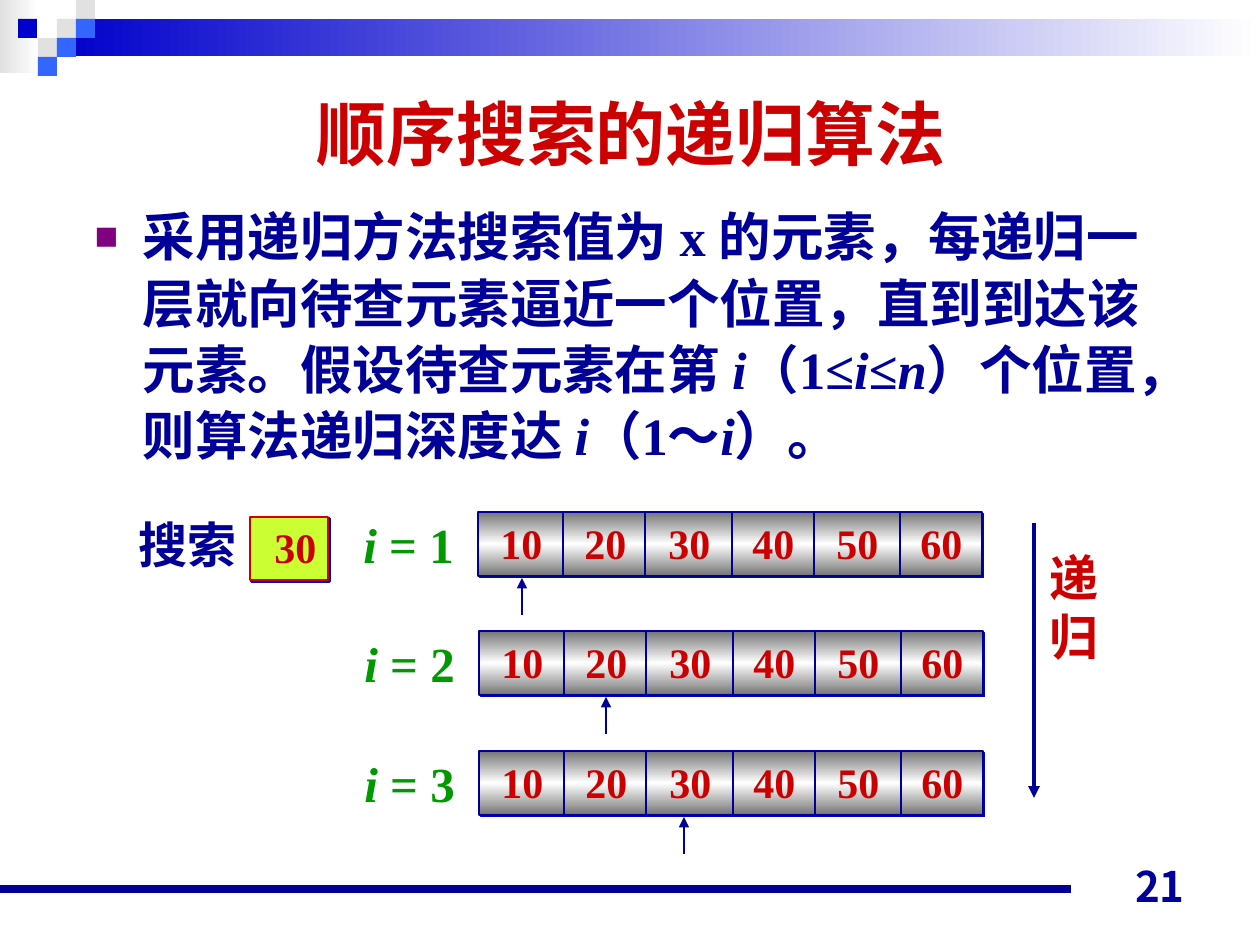
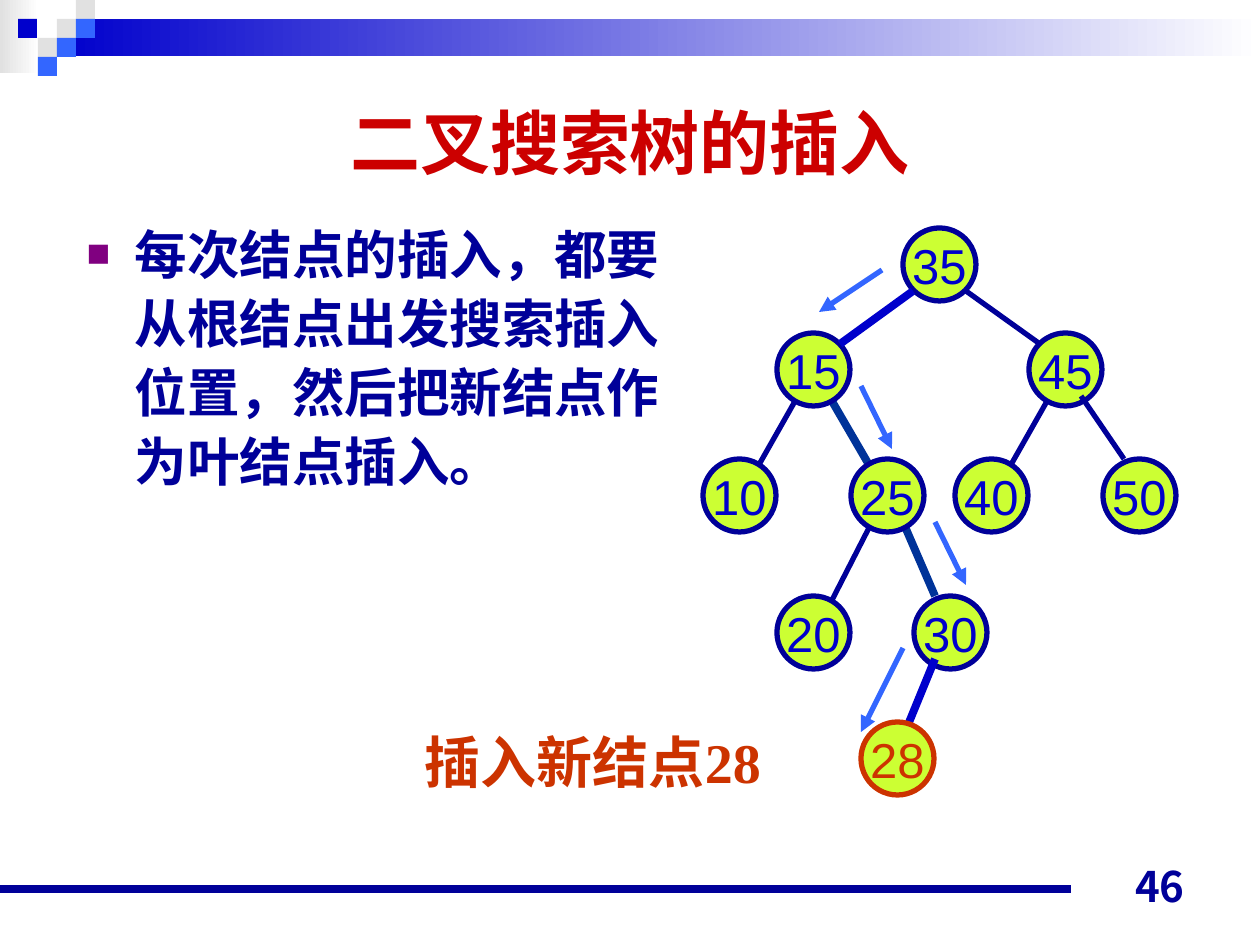
from lxml import etree
from pptx import Presentation, util as u
from pptx.dml.color import RGBColor
from pptx.enum import shapes, text
from pptx.oxml.ns import qn

PX = 914400 / 126
SERIF, SANS, CJK = "Times New Roman", "Arial", "Noto Sans CJK JP"
C = dict(navy="000099", blue="0000CC", sky="3366FF", teal="003399", grey="E1E1E1", steel="757575",
         white="FFFFFF", red="CC0000", rust="CC3300", green="009900", lime="CCFF33", purple="800080")
MIDDLE, BOTTOM = text.MSO_ANCHOR.MIDDLE, text.MSO_ANCHOR.BOTTOM
CENTER, RIGHT = text.PP_ALIGN.CENTER, text.PP_ALIGN.RIGHT
RECT, OVAL = shapes.MSO_SHAPE.RECTANGLE, shapes.MSO_SHAPE.OVAL

FADES = [((0, 0, 39, 73), ("white", "grey")), ((57, 19, 1203, 37), ("white", "blue"))]
SQUARES = [(57, 19, "grey"), (76, 0, "grey"), (76, 19, "sky"), (38, 38, "grey"),
           (18, 19, "blue"), (57, 38, "sky"), (38, 57, "sky")]

SEARCH = dict(
    title="顺序搜索的递归算法", title_at=(64, 60, 1134, 144), page="21",
    body=["采用递归方法搜索值为 x 的元素，每递归一层就向待查元素逼近一个位置，直到到达该元素。假设待查元素在第 ",
          "i", "（1≤", "i", "≤", "n", "）个位置，则算法递归深度达 ", "i", "（1～", "i", "）。"],
    body_at=(82, 195, 1104, 292), spacing=1.05, before=5.6)
VALUES = ["10", "20", "30", "40", "50", "60"]
DIVIDERS = [85, 167, 254, 336, 422]
STEPS = [("1", 478, 512, 522), ("2", 479, 631, 606), ("3", 479, 751, 684)]

INSERT = dict(
    title="二叉搜索树的插入", title_at=(63, 63, 1134, 156), page="46",
    body=["每次结点的插入，都要从根结点出发搜索插入位置，然后把新结点作为叶结点插入。"],
    body_at=(74, 209, 620, 536), spacing=1.1, before=7.5)
NODES = [("35", 903, 228), ("15", 777, 333), ("45", 1029, 333), ("50", 1103, 459), ("40", 955, 459),
         ("25", 851, 459), ("10", 703, 459), ("20", 777, 596), ("30", 914, 596)]
EDGES_BELOW = [((1050, 396, 1008, 470), "navy", 3), ((903, 522, 935, 596), "teal", 4.5),
               ((872, 522, 829, 606), "navy", 3), ((798, 396, 756, 470), "navy", 3),
               ((829, 396, 872, 470), "teal", 4.5)]
EDGES_ABOVE = [((913, 291, 840, 344), "blue", 4.5), ((966, 291, 1040, 344), "navy", 3),
               ((1081, 396, 1124, 459), "navy", 3), ((935, 659, 892, 764), "blue", 4.5)]
PATH_ARROWS = [(882, 270, 819, 312), (903, 648, 861, 732), (861, 386, 892, 449), (935, 522, 966, 585)]


def px(*lengths):
    return [u.Emu(round(n * PX)) for n in lengths]


def rgb(name):
    return RGBColor.from_string(C[name])


def sub(parent, tag, **attrs):
    return etree.SubElement(parent, qn("a:" + tag), {k: str(v) for k, v in attrs.items()})


def color_node(parent, name):
    return sub(parent, "srgbClr", val=C[name])


def gradient(sp, names, angle):
    grad = etree.Element(qn("a:gradFill"), rotWithShape="1")
    stops = sub(grad, "gsLst")
    for i, name in enumerate(names):
        color_node(sub(stops, "gs", pos=100000 * i // (len(names) - 1)), name)
    sub(grad, "lin", ang=angle * 60000, scaled=0)
    sp.element.spPr.insert(2, grad)


def box(s, at, fill, line=None, width=0.75, kind=RECT, angle=180, shadow=False):
    sp = s.shapes.add_shape(kind, *px(*at))
    sp.shadow.inherit = False
    if isinstance(fill, tuple):
        gradient(sp, fill, angle)
    else:
        sp.fill.solid()
        sp.fill.fore_color.rgb = rgb(fill)
    if line:
        sp.line.color.rgb = rgb(line)
        sp.line.width = u.Pt(width)
    else:
        sp.line.fill.background()
    if shadow:
        effects = sp.element.spPr.find(qn("a:effectLst"))
        color_node(sub(effects, "outerShdw", blurRad=0, dist=u.Pt(1.4), dir=45 * 60000,
                       algn="ctr", rotWithShape=0), "blue")
    return sp


def line(s, ends, color, width, arrow=False):
    cx = s.shapes.add_connector(shapes.MSO_CONNECTOR.STRAIGHT, *px(*ends))
    cx.line.color.rgb = rgb(color)
    cx.line.width = u.Pt(width)
    if arrow:
        sub(cx.line._get_or_add_ln(), "tailEnd", type="triangle")
    sub(cx.element.spPr, "effectLst")
    return cx


def style(p, size, color, font=SERIF, bold=True, align=None):
    f = p.font
    f.size, f.bold, f.name = u.Pt(size), bold, font
    f.color.rgb = rgb(color)
    sub(p._p.pPr.find(qn("a:defRPr")), "ea", typeface=CJK)
    if align is not None:
        p.alignment = align


def add_runs(p, parts):
    for part in parts:
        r = p.add_run()
        r.text = part
        if part in ("i", "n"):
            r.font.italic = True


def set_tabs(p, stops):
    tabs = sub(p._p.get_or_add_pPr(), "tabLst")
    for stop in px(*stops):
        sub(tabs, "tab", pos=stop, algn="l")


def label(s, at, paragraphs, size, color, font=SERIF, align=None, tabs=(), anchor=None):
    tf = s.shapes.add_textbox(*px(*at)).text_frame
    tf.word_wrap = True
    if anchor is not None:
        tf.vertical_anchor = anchor
    for i, parts in enumerate(paragraphs):
        p = tf.add_paragraph() if i else tf.paragraphs[0]
        if tabs:
            set_tabs(p, tabs)
        add_runs(p, parts)
        style(p, size, color, font, align=align)
    return tf


def place(sp, at):
    sp.left, sp.top, sp.width, sp.height = px(*at)
    sp.text_frame.auto_size = text.MSO_AUTO_SIZE.NONE
    return sp.text_frame


def bullet(p):
    pPr = p._p.get_or_add_pPr()
    indent, = px(48)
    pPr.set("marL", str(indent))
    pPr.set("indent", str(-indent))
    color_node(sub(pPr, "buClr"), "purple")
    sub(pPr, "buSzPct", val=75000)
    sub(pPr, "buFont", typeface=SANS)
    sub(pPr, "buChar", char="■")


def decorate_layout(s, layout):
    for sp in list(layout.placeholders)[2:]:
        layout.shapes.element.remove(sp.element)
    parts = [box(s, at, names) for at, names in FADES]
    parts += [box(s, (x, y, 19, 19), color) for x, y, color in SQUARES]
    parts.append(line(s, (0, 889, 1071, 889), "navy", 4.5))
    for part in parts:
        layout.shapes.element.append(part.element)


def new_slide(prs, layout, content):
    s = prs.slides.add_slide(layout)
    tf = place(s.shapes.title, content["title_at"])
    tf.vertical_anchor = MIDDLE
    tf.text = content["title"]
    style(tf.paragraphs[0], 40, "red", SANS, align=CENTER)
    p = place(s.placeholders[1], content["body_at"]).paragraphs[0]
    p.line_spacing = content["spacing"]
    p.space_before = u.Pt(content["before"])
    bullet(p)
    add_runs(p, content["body"])
    style(p, 30, "navy")
    label(s, (903, 854, 294, 63), [[content["page"]]], 24, "navy", CJK, RIGHT, anchor=BOTTOM)
    return s


def draw_search(s):
    for number, x, y, pointer in STEPS:
        box(s, (x, y, 504, 64), ("steel", "white", "steel"), "navy", angle=90, shadow=True)
        label(s, (x + 10, y - 1, 500, 63), [["\t".join(VALUES)]], 24, "red",
              tabs=[84 * i for i in range(1, len(VALUES))])
        for dx in DIVIDERS:
            line(s, (x + dx, y, x + dx, y + 65), "navy", 1.5)
        line(s, (pointer, y + 103, pointer, y + 66), "navy", 1.5, arrow=True)
        label(s, (x - 127, y - 4, 130, 72), [["i", f" = {number}"]], 28, "green")
    box(s, (250, 517, 78, 63), "lime", "red", 1.5, shadow=True)
    tf = label(s, (126, 508, 215, 72), [["搜索\t", "30"]], 28, "navy", tabs=[136])
    r = tf.paragraphs[0].runs[1]
    r.font.size = u.Pt(24)
    r.font.color.rgb = rgb("red")
    line(s, (1034, 523, 1034, 798), "navy", 2.25, arrow=True)
    label(s, (1037, 541, 84, 131), [["递"], ["归"]], 28, "red")


def node(s, value, x, y, outline="navy", color="blue"):
    tf = box(s, (x, y, 73, 73), "lime", outline, 3, OVAL).text_frame
    tf.margin_left = tf.margin_right = 0
    tf.word_wrap = False
    tf.vertical_anchor = MIDDLE
    tf.text = value
    style(tf.paragraphs[0], 28, color, SANS, False, CENTER)


def draw_tree(s):
    for edge in EDGES_BELOW:
        line(s, *edge)
    for item in NODES:
        node(s, *item)
    for edge in EDGES_ABOVE:
        line(s, *edge)
    for ends in PATH_ARROWS:
        line(s, ends, "sky", 3, arrow=True)
    node(s, "28", 861, 722, "rust", "rust")
    label(s, (412, 721, 410, 81), [["插入新结点28"]], 32, "rust")


def main():
    """Build the two slides on searching and on tree insertion."""
    prs = Presentation()
    prs.slide_width, prs.slide_height = u.Inches(10), u.Inches(7.5)
    layout = prs.slide_layouts[1]
    search = new_slide(prs, layout, SEARCH)
    decorate_layout(search, layout)
    draw_search(search)
    draw_tree(new_slide(prs, layout, INSERT))
    prs.save("out.pptx")


if __name__ == "__main__":
    main()
